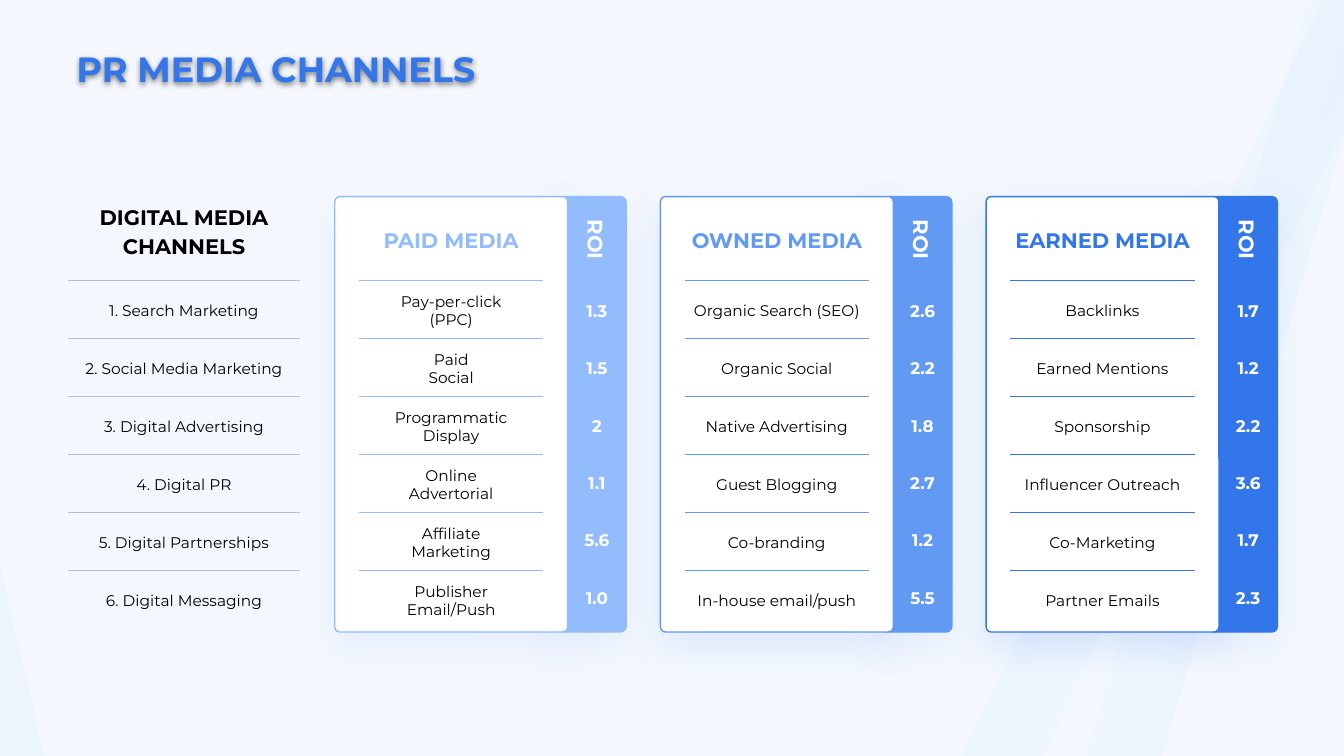
from dataclasses import dataclass

from lxml import etree
from pptx import Presentation
from pptx import util as u
from pptx.dml.color import RGBColor
from pptx.enum import shapes, text
from pptx.oxml.ns import qn


@dataclass(frozen=True)
class Theme:
    font: str = "Montserrat"
    background: str = "F4F8FE"
    beam: str = "87CDFF"
    beam_end: str = "EBF7FF"
    paid: str = "93BCFC"
    owned: str = "6199F3"
    earned: str = "3376E9"
    rule: str = "BCBFC2"
    ink: str = "000000"
    white: str = "FFFFFF"
    title_size: int = 25
    heading_size: int = 15
    roi_size: int = 12
    item_size: int = 11


THEME = Theme()
FIRST_RULE, ROW_HEIGHT = 0.83, 0.575

CHANNELS = ["1. Search Marketing", "2. Social Media Marketing", "3. Digital Advertising",
            "4. Digital PR", "5. Digital Partnerships", "6. Digital Messaging"]
MEDIA = [
    ("PAID MEDIA", THEME.paid,
     ["Pay-per-click\v(PPC)", "Paid\vSocial", "Programmatic\vDisplay",
      "Online\vAdvertorial", "Affiliate\vMarketing", "Publisher\vEmail/Push"],
     ["1.3", "1.5", "2", "1.1", "5.6", "1.0"]),
    ("OWNED MEDIA", THEME.owned,
     ["Organic Search (SEO)", "Organic Social", "Native Advertising",
      "Guest Blogging", "Co-branding", "In-house email/push"],
     ["2.6", "2.2", "1.8", "2.7", "1.2", "5.5"]),
    ("EARNED MEDIA", THEME.earned,
     ["Backlinks", "Earned Mentions", "Sponsorship",
      "Influencer Outreach", "Co-Marketing", "Partner Emails"],
     ["1.7", "1.2", "2.2", "3.6", "1.7", "2.3"]),
]


def inches(*lengths):
    return [u.Inches(length) for length in lengths]


def rgb(colour):
    return RGBColor.from_string(colour)


def style(paragraph, size, colour, bold):
    paragraph.font.name = THEME.font
    paragraph.font.size = u.Pt(size)
    paragraph.font.bold = bold
    paragraph.font.color.rgb = rgb(colour)


def add_label(slide, wording, centre_x, centre_y, width, size, colour,
              bold=False, rotation=0, spacing=None):
    height = 0.4
    label = slide.shapes.add_textbox(
        *inches(centre_x - width / 2, centre_y - height / 2, width, height))
    label.rotation = rotation
    frame = label.text_frame
    frame.word_wrap = True
    frame.vertical_anchor = text.MSO_ANCHOR.MIDDLE
    frame.margin_left = frame.margin_right = 0
    frame.text = wording
    for paragraph in frame.paragraphs:
        paragraph.alignment = text.PP_ALIGN.CENTER
        if spacing:
            paragraph.line_spacing = u.Pt(spacing)
        style(paragraph, size, colour, bold)


def add_shadow(shape, colour, opacity, blur, distance):
    shape.shadow.inherit = False
    effects = shape.element.spPr.find(qn("a:effectLst"))
    shadow = etree.SubElement(effects, qn("a:outerShdw"), blurRad=str(u.Pt(blur)),
                              dist=str(u.Pt(distance)), dir="5400000",
                              algn="t", rotWithShape="0")
    tint = etree.SubElement(shadow, qn("a:srgbClr"), val=colour)
    etree.SubElement(tint, qn("a:alpha"), val=str(opacity * 1000))


def add_rounded(slide, box, corner, fill, line, shadow):
    block = slide.shapes.add_shape(shapes.MSO_SHAPE.ROUNDED_RECTANGLE, *inches(*box))
    block.adjustments[0] = corner
    block.fill.solid()
    block.fill.fore_color.rgb = rgb(fill)
    block.line.color.rgb = rgb(line)
    block.line.width = u.Pt(1)
    add_shadow(block, shadow, 15, 26, 10)


def add_rows(slide, items, left, top, width, inset, colour):
    for row, item in enumerate(items):
        y = top + FIRST_RULE + row * ROW_HEIGHT
        rule = slide.shapes.add_connector(
            shapes.MSO_CONNECTOR.STRAIGHT, *inches(left + inset, y, left + width - inset, y))
        rule.line.color.rgb = rgb(colour)
        rule.line.width = u.Pt(0.5)
        etree.SubElement(rule.element.spPr, qn("a:effectLst"))
        add_label(slide, item, left + width / 2, y + 0.3, width, THEME.item_size, THEME.ink)


def add_beam(slide, box, rotation, flipped):
    beam = slide.shapes.add_shape(shapes.MSO_SHAPE.RECTANGLE, *inches(*box))
    beam.shadow.inherit = False
    beam.line.fill.background()
    beam.rotation = rotation
    if flipped:
        beam.element.spPr.find(qn("a:xfrm")).set("flipH", "1")
    beam.fill.gradient()
    beam.fill.gradient_angle = 0
    for stop, colour, position in zip(beam.fill.gradient_stops,
                                      (THEME.beam, THEME.beam_end), (0, 1)):
        stop.color.rgb = rgb(colour)
        stop.position = position
    tints = beam.element.spPr.iter(qn("a:srgbClr"))
    for tint, opacity in zip(tints, (20, 0)):
        etree.SubElement(tint, qn("a:alpha"), val=str(opacity * 1000))


def add_backdrop(slide):
    slide.background.fill.solid()
    slide.background.fill.fore_color.rgb = rgb(THEME.background)
    add_beam(slide, (11.38, -0.96, 0.73, 9.35), 25.5, False)
    add_beam(slide, (11.84, -0.79, 0.73, 9.35), 16.4, True)
    add_beam(slide, (-1.3, -0.92, 0.92, 9.92), 346.9, True)


def add_title(slide, left, top, width, height):
    title = slide.shapes.title
    title.left, title.top, title.width, title.height = inches(left, top, width, height)
    frame = title.text_frame
    frame.text = "PR MEDIA CHANNELS"
    frame.word_wrap = False
    frame.auto_size = text.MSO_AUTO_SIZE.NONE
    frame.vertical_anchor = text.MSO_ANCHOR.MIDDLE
    frame.paragraphs[0].alignment = text.PP_ALIGN.LEFT
    style(frame.paragraphs[0], THEME.title_size, THEME.earned, True)
    add_shadow(title, THEME.ink, 50, 4, 1)


def add_channel_list(slide, left, top, width):
    add_label(slide, "DIGITAL MEDIA\nCHANNELS", left + width / 2, top + 0.33, width,
              THEME.heading_size, THEME.ink, bold=True, spacing=21)
    add_rows(slide, CHANNELS, left, top, width, 0, THEME.rule)


def add_media_card(slide, left, top, width, height, heading, colour, items, returns):
    roi_x = left + width + 0.29
    add_rounded(slide, (left + width - 0.11, top, 0.69, height), 0.082,
                colour, colour, THEME.paid)
    add_label(slide, "ROI", roi_x - 0.01, top + 0.43, 0.6, THEME.heading_size,
              THEME.white, bold=True, rotation=90)
    for row, value in enumerate(returns):
        add_label(slide, value, roi_x, top + 1.13 + row * 0.57, 0.5,
                  THEME.roi_size, THEME.white, bold=True)
    add_rounded(slide, (left, top, width, height), 0.022, THEME.white, colour, colour)
    add_label(slide, heading, left + width / 2, top + 0.43, width,
              THEME.heading_size, colour, bold=True)
    add_rows(slide, items, left, top, width, 0.24, colour)


def main():
    deck = Presentation()
    deck.slide_width, deck.slide_height = inches(13.33, 7.5)
    slide = deck.slides.add_slide(deck.slide_layouts[5])
    add_backdrop(slide)
    add_title(slide, 0.66, 0.42, 4.21, 0.52)
    add_channel_list(slide, 0.67, 1.95, 2.31)
    for column, media in enumerate(MEDIA):
        add_media_card(slide, 3.32 + column * 3.23, 1.95, 2.31, 4.32, *media)
    deck.save("out.pptx")


if __name__ == "__main__":
    main()
